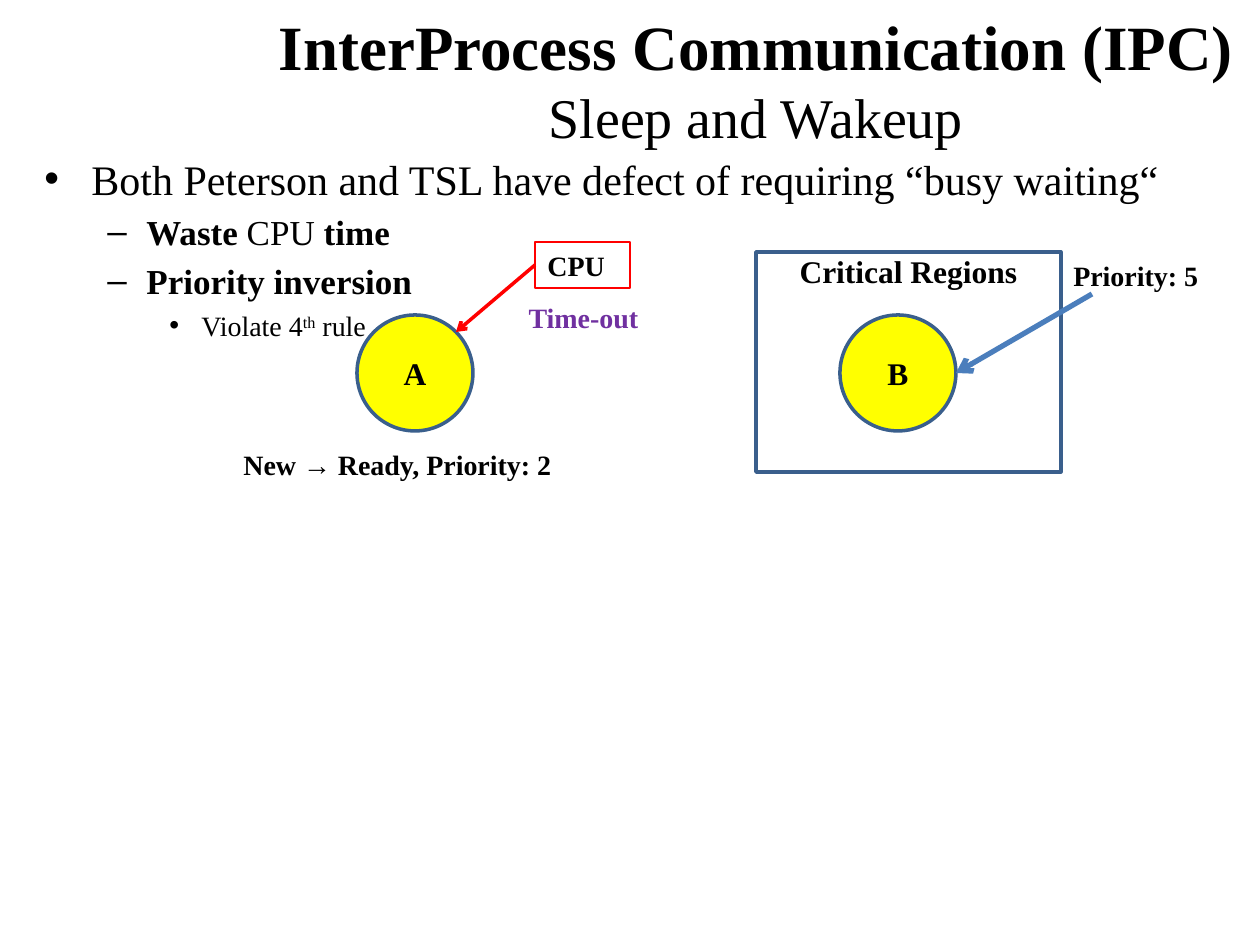
from lxml.etree import SubElement
from pptx import Presentation
from pptx.dml.color import RGBColor
from pptx.enum.shapes import MSO_CONNECTOR as CONNECTOR, MSO_SHAPE as SHAPE
from pptx.enum.text import MSO_ANCHOR as ANCHOR, PP_ALIGN as ALIGN
from pptx.oxml.ns import qn
from pptx.util import Emu, Pt

FONT = "Times New Roman"
COLORS = {"text": "000000", "outline": "3A5F8C", "process": "FFFF00",
          "access": "4B7EBC", "cpu": "FF0000", "timeout": "7030A0"}

# Content: boxes are left, top, width, height in px
TITLE_BOX = (252, 0, 1008, 157)
TITLE = [("InterProcess Communication (IPC)", 36, True), ("Sleep and Wakeup", 32, False)]
BODY_BOX = (32, 147, 1228, 778)
# level, runs of (text, bold, superscript)
BODY = [
    (0, [("Both Peterson and TSL have defect of requiring “busy waiting“", False, False)]),
    (1, [("Waste", True, False), (" CPU ", False, False), ("time", True, False)]),
    (1, [("Priority inversion", True, False)]),
    (2, [("Violate 4", False, False), ("th", False, True), (" rule", False, False)]),
]
# per level: size in pt, left margin and hanging indent in px, bullet
LEVELS = [(24, 47, 47, "•"), (20, 102, 39, "–"), (16, 157, 32, "•")]
REGION = ("Critical Regions", (756, 252, 305, 220))
PROCESSES = [("A", 357), ("B", 840)]
PROCESS_TOP, PROCESS_SIZE = 315, 116
CPU = ("CPU", (535, 242, 95, 46))
LABELS = [
    ("Priority: 5", (1061, 252, 179, 46), ALIGN.LEFT, "text"),
    ("New → Ready, Priority: 2", (231, 441, 357, 46), ALIGN.LEFT, "text"),
    ("Time-out", (494, 294, 179, 46), ALIGN.CENTER, "timeout"),
]
# start, end, colour, width in pt
ARROWS = [((1092, 294), (956, 373), "access", 3), ((535, 265), (456, 332), "cpu", 2)]


def px(value):
    return Emu(round(value * 914400 / 126))


def rgb(name):
    return RGBColor.from_string(COLORS[name])


def style(font, size, bold=None, color="text"):
    font.name, font.size, font.bold = FONT, Pt(size), bold
    font.color.rgb = rgb(color)


def write(shape, text, size, align, color="text"):
    paragraph = shape.text_frame.paragraphs[0]
    paragraph.text, paragraph.alignment = text, align
    style(paragraph.font, size, True, color)


def add_text_box(box):
    text_box = slide.shapes.add_textbox(*map(px, box))
    text_box.text_frame.word_wrap = True
    return text_box


def add_outlined(kind, box, line, width, fill=None):
    shape = slide.shapes.add_shape(kind, *map(px, box))
    shape.shadow.inherit = False
    if fill:
        shape.fill.solid()
        shape.fill.fore_color.rgb = rgb(fill)
    else:
        shape.fill.background()
    shape.line.color.rgb, shape.line.width = rgb(line), Pt(width)
    return shape


def add_bullet(paragraph, margin, hanging, mark):
    properties = paragraph._p.get_or_add_pPr()
    properties.set("marL", str(px(margin)))
    properties.set("indent", str(-px(hanging)))
    SubElement(properties, qn("a:buFont"), typeface="Arial")
    SubElement(properties, qn("a:buChar"), char=mark)


def add_arrow(start, end, color, width):
    arrow = slide.shapes.add_connector(CONNECTOR.STRAIGHT, *map(px, start + end))
    arrow.line.color.rgb, arrow.line.width = rgb(color), Pt(width)
    SubElement(arrow.line._get_or_add_ln(), qn("a:tailEnd"), type="arrow")
    SubElement(arrow._element.spPr, qn("a:effectLst"))


deck = Presentation()
deck.slide_width, deck.slide_height = px(1260), px(945)
slide = deck.slides.add_slide(deck.slide_layouts[6])

# Title
title = add_text_box(TITLE_BOX).text_frame
title.vertical_anchor = ANCHOR.MIDDLE
for i, (text, size, bold) in enumerate(TITLE):
    paragraph = title.add_paragraph() if i else title.paragraphs[0]
    paragraph.text, paragraph.alignment = text, ALIGN.CENTER
    style(paragraph.font, size, bold)

# Bulleted body
body = add_text_box(BODY_BOX).text_frame
for i, (level, runs) in enumerate(BODY):
    size, margin, hanging, mark = LEVELS[level]
    paragraph = body.add_paragraph() if i else body.paragraphs[0]
    paragraph.level, paragraph.alignment = level, ALIGN.JUSTIFY
    if i:
        paragraph.space_before = Pt(4)
    add_bullet(paragraph, margin, hanging, mark)
    style(paragraph.font, size)
    for text, bold, superscript in runs:
        run = paragraph.add_run()
        run.text, run.font.bold = text, bold
        if superscript:
            run.font._element.set("baseline", "30000")

# Critical region
region_text, region_box = REGION
region = add_outlined(SHAPE.RECTANGLE, region_box, "outline", 2)
region.text_frame.vertical_anchor = ANCHOR.TOP
region.text_frame.margin_top = 0
write(region, region_text, 18, ALIGN.CENTER)

# Processes
for name, left in PROCESSES:
    box = (left, PROCESS_TOP, PROCESS_SIZE, PROCESS_SIZE)
    process = add_outlined(SHAPE.OVAL, box, "outline", 2, "process")
    process.text_frame.vertical_anchor = ANCHOR.MIDDLE
    write(process, name, 18, ALIGN.CENTER)

# CPU, labels and arrows
cpu_text, cpu_box = CPU
cpu = add_outlined(SHAPE.RECTANGLE, cpu_box, "cpu", 0.75)
write(cpu, cpu_text, 16, ALIGN.LEFT)
for text, box, align, color in LABELS:
    write(add_text_box(box), text, 16, align, color)
for arrow in ARROWS:
    add_arrow(*arrow)

deck.save("out.pptx")
